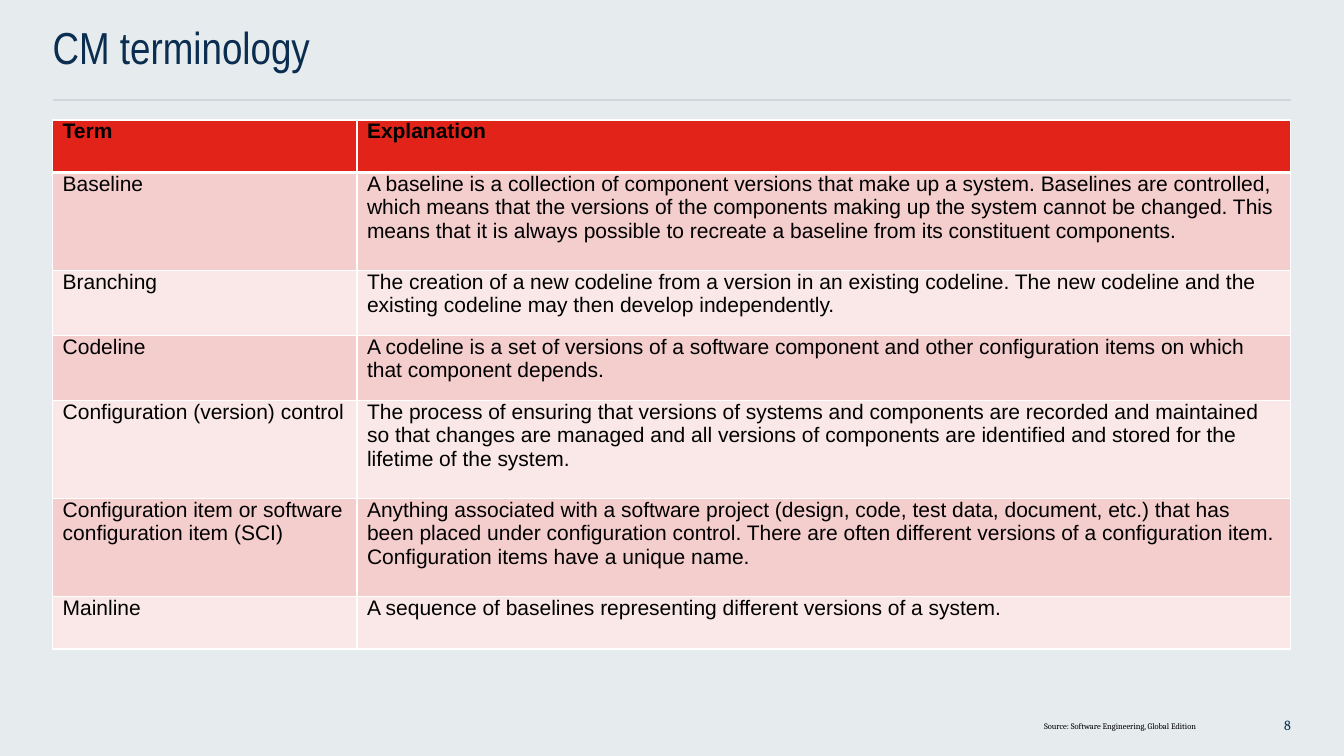
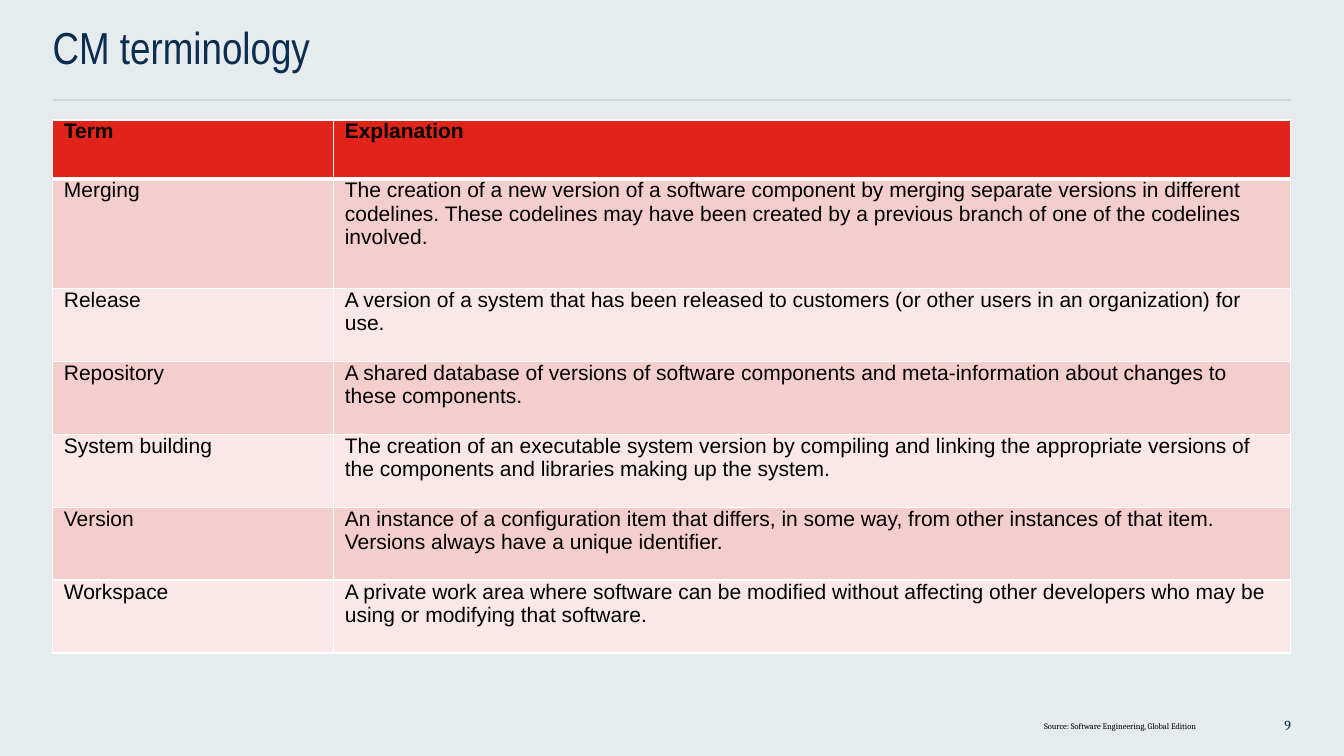
import dataclasses

import lxml.etree
import pptx
import pptx.dml.color
import pptx.enum.shapes
import pptx.enum.text
import pptx.oxml.ns
import pptx.util

Pt = pptx.util.Pt
qn = pptx.oxml.ns.qn
Align = pptx.enum.text.PP_ALIGN


def colour(code):
    return pptx.dml.color.RGBColor.from_string(code)


@dataclasses.dataclass(frozen=True)
class Theme:
    background: str = "E6EBEE"
    rule: str = "CDD7DC"
    navy: str = "0A2D50"
    black: str = "000000"
    border: str = "FFFFFF"
    header: str = "E2231A"
    bands: tuple = ("F4CDCD", "FAE8E8")
    title_font: str = "Arial Narrow"
    table_font: str = "Arial"
    footer_font: str = "Cambria"
    title_size: float = 32
    table_size: float = 15
    number_size: float = 10
    source_size: float = 6
    left: float = 37.6
    width: float = 884.5
    cell_inset: float = 7.2
    row_heights: tuple = (37.5, 46.5, 70)


class Board:
    def __init__(self, theme):
        self.theme = theme
        self.deck = pptx.Presentation()
        self.deck.slide_width = Pt(960)
        self.deck.slide_height = Pt(540)
        fill = self.deck.slide_master.background.fill
        fill.solid()
        fill.fore_color.rgb = colour(theme.background)
        self.slide = None

    def add_page(self, title, number):
        theme = self.theme
        self.slide = self.deck.slides.add_slide(self.deck.slide_layouts[6])
        self.rule(71.4)
        self.text(title, (theme.left, 14.4, theme.width, 57), (0, 0, 0, 0),
                  theme.title_font, theme.title_size, theme.navy)
        self.text(str(number), (846.7, 511.9, 75.4, 28), (7.2, 0, 0, 0),
                  theme.footer_font, theme.number_size, theme.navy, Align.RIGHT)
        source = self.text("Source: Software Engineering, Global Edition",
                           (738.7, 511.2, 136, 14.4), (7.2, 3.6, 7.2, 3.6),
                           theme.footer_font, theme.source_size, theme.black)
        source.text_frame.word_wrap = False
        source.text_frame.auto_size = pptx.enum.text.MSO_AUTO_SIZE.SHAPE_TO_FIT_TEXT

    def rule(self, top):
        theme = self.theme
        line = self.slide.shapes.add_connector(
            pptx.enum.shapes.MSO_CONNECTOR.STRAIGHT,
            Pt(theme.left), Pt(top), Pt(theme.left + theme.width), Pt(top))
        line.line.color.rgb = colour(theme.rule)
        line.line.width = Pt(1)
        lxml.etree.SubElement(line._element.spPr, qn("a:effectLst"))

    def text(self, words, place, insets, font, size, ink, align=Align.LEFT):
        box = self.slide.shapes.add_textbox(*map(Pt, place))
        frame = box.text_frame
        frame.word_wrap = True
        (frame.margin_left, frame.margin_top,
         frame.margin_right, frame.margin_bottom) = map(Pt, insets)
        frame.text = words
        self.style(frame.paragraphs[0], font, size, ink, align)
        return box

    def style(self, para, font, size, ink, align, bold=False):
        para.alignment = align
        for span in para.runs:
            span.font.name = font
            span.font.size = Pt(size)
            span.font.bold = bold
            span.font.color.rgb = colour(ink)

    def term_table(self, entries, term_width, scale=1):
        theme = self.theme
        rows = [("Term", "Explanation", 1), *entries]
        heights = [theme.row_heights[lines - 1] * scale for *_, lines in rows]
        table = self.slide.shapes.add_table(
            len(rows), 2, Pt(theme.left), Pt(85.7),
            Pt(theme.width), Pt(sum(heights))).table
        table.first_row = table.horz_banding = False
        table.columns[0].width = Pt(term_width)
        table.columns[1].width = Pt(theme.width - term_width)
        for index, (term, explanation, _) in enumerate(rows):
            table.rows[index].height = Pt(heights[index])
            for column, words in enumerate((term, explanation)):
                self.cell(table.cell(index, column), words, index, scale)

    def cell(self, cell, words, index, scale):
        theme = self.theme
        is_header = index == 0
        self.borders(cell, top=3 if index == 1 else 1, bottom=3 if is_header else 1)
        cell.fill.solid()
        cell.fill.fore_color.rgb = colour(
            theme.header if is_header else theme.bands[(index - 1) % 2])
        cell.margin_left = cell.margin_right = Pt(theme.cell_inset * scale)
        cell.margin_top = cell.margin_bottom = 0
        cell.text_frame.text = words
        para = cell.text_frame.paragraphs[0]
        para.space_after = Pt(2)
        self.style(para, theme.table_font, theme.table_size, theme.black,
                   Align.JUSTIFY if is_header else Align.LEFT, is_header)

    def borders(self, cell, top, bottom):
        properties = cell._tc.get_or_add_tcPr()
        for side, width in (("L", 1), ("R", 1), ("T", top), ("B", bottom)):
            line = lxml.etree.SubElement(properties, qn("a:ln" + side), w=str(Pt(width)))
            fill = lxml.etree.SubElement(line, qn("a:solidFill"))
            lxml.etree.SubElement(fill, qn("a:srgbClr"), val=self.theme.border)


BASELINE_TO_MAINLINE = [
    ("Baseline",
     "A baseline is a collection of component versions that make up a system. "
     "Baselines are controlled, which means that the versions of the components "
     "making up the system cannot be changed. This means that it is always possible "
     "to recreate a baseline from its constituent components.", 3),
    ("Branching",
     "The creation of a new codeline from a version in an existing codeline. "
     "The new codeline and the existing codeline may then develop independently.", 2),
    ("Codeline",
     "A codeline is a set of versions of a software component and other "
     "configuration items on which that component depends.", 2),
    ("Configuration (version) control",
     "The process of ensuring that versions of systems and components are recorded "
     "and maintained so that changes are managed and all versions of components are "
     "identified and stored for the lifetime of the system.", 3),
    ("Configuration item or software configuration item (SCI)",
     "Anything associated with a software project (design, code, test data, document, "
     "etc.) that has been placed under configuration control. There are often different "
     "versions of a configuration item. Configuration items have a unique name.", 3),
    ("Mainline",
     "A sequence of baselines representing different versions of a system.", 1),
]

MERGING_TO_WORKSPACE = [
    ("Merging",
     "The creation of a new version of a software component by merging separate "
     "versions in different codelines. These codelines may have been created by a "
     "previous branch of one of the codelines involved.", 3),
    ("Release",
     "A version of a system that has been released to customers (or other users in "
     "an organization) for use.", 2),
    ("Repository",
     "A shared database of versions of software components and meta-information "
     "about changes to these components.", 2),
    ("System building",
     "The creation of an executable system version by compiling and linking the "
     "appropriate versions of the components and libraries making up the system.", 2),
    ("Version",
     "An instance of a configuration item that differs, in some way, from other "
     "instances of that item. Versions always have a unique identifier.", 2),
    ("Workspace",
     "A private work area where software can be modified without affecting other "
     "developers who may be using or modifying that software.", 2),
]


def main():
    board = Board(Theme())
    board.add_page("CM terminology", 8)
    board.term_table(BASELINE_TO_MAINLINE, term_width=217.4)
    board.add_page("CM terminology", 9)
    board.term_table(MERGING_TO_WORKSPACE, term_width=200.7, scale=1.12)
    board.deck.save("out.pptx")


if __name__ == "__main__":
    main()
